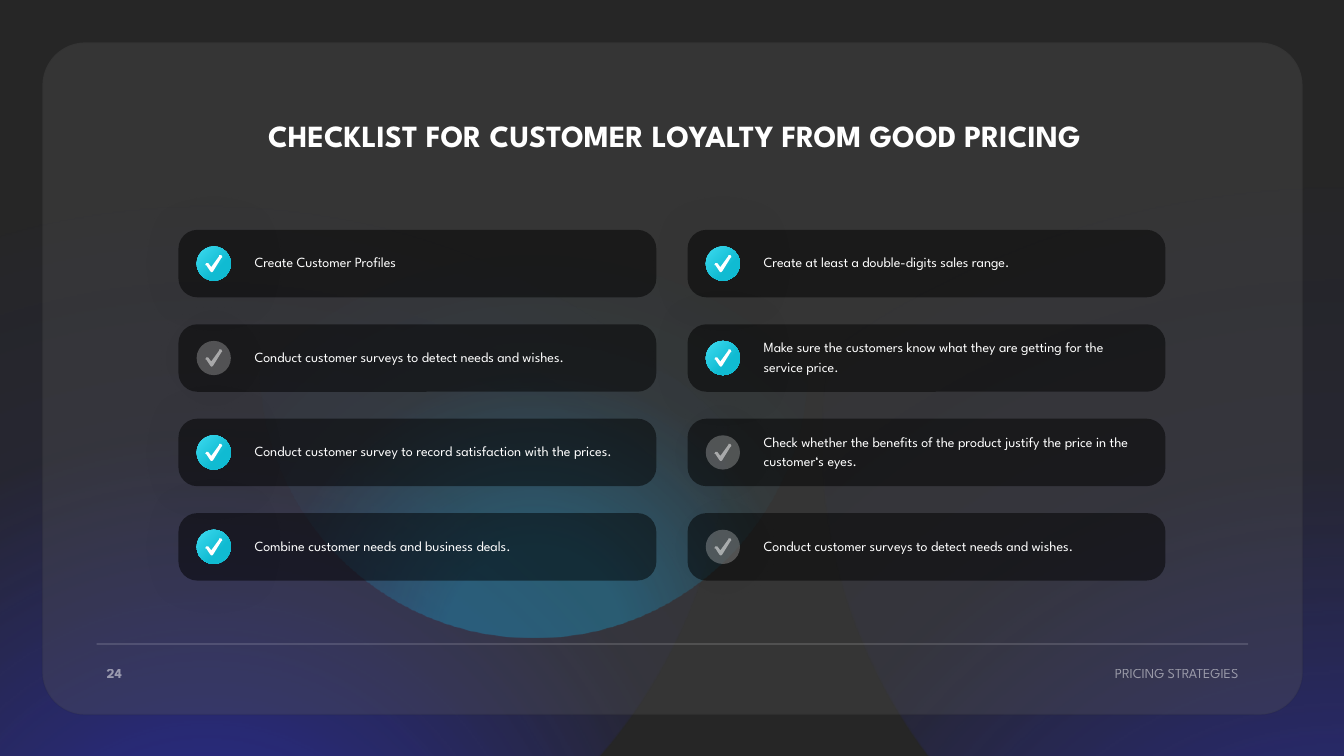
"""Build a dark checklist slide on customer loyalty and pricing."""
import pptx
import pptx.util
import pptx.dml.color
import pptx.enum.shapes
import pptx.enum.text
import pptx.oxml
from pptx.oxml.ns import qn, nsdecls

WIDTH, HEIGHT = pptx.util.Inches(13.33), pptx.util.Inches(7.5)
FONT = "League Spartan"
SHAPES = pptx.enum.shapes.MSO_SHAPE
ALIGN = pptx.enum.text.PP_ALIGN
ANCHOR = pptx.enum.text.MSO_ANCHOR

CARD_LEFT, CARD_TOP = 13.28, 30.4
CARD_PITCH_X, CARD_PITCH_Y = 37.88, 12.49
CARD_WIDTH, CARD_HEIGHT = 35.56, 8.93
ICON_INDENT, ICON_SIZE = 1.35, 4.53
TICK_GRID = 17
TICK = [(6, 17), (5, 16), (1, 10.5), (0, 9.5), (1, 8), (2, 7.5), (3, 8), (6, 12),
        (13.5, 1), (14.5, 0), (16, 0), (17, 1.5), (16.5, 3), (8, 16), (7, 16.8)]
CHECKLIST = [
    [("Create Customer Profiles", True),
     ("Create at least a double-digits sales range.", True)],
    [("Conduct customer surveys to detect needs and wishes.", False),
     ("Make sure the customers know what they are getting for the service price.", True)],
    [("Conduct customer survey to record satisfaction with the prices.", True),
     ("Check whether the benefits of the product justify the price in the customer‘s eyes.", False)],
    [("Combine customer needs and business deals.", True),
     ("Conduct customer surveys to detect needs and wishes.", False)],
]


def across(percent):
    """Return a percentage of the slide's width."""
    return round(WIDTH * percent / 100)


def down(percent):
    """Return a percentage of the slide's height."""
    return round(HEIGHT * percent / 100)


def paint(fill, owner, color, alpha=100):
    """Set a solid fill and the opacity of the first colour inside its owner."""
    fill.solid()
    fill.fore_color.rgb = pptx.dml.color.RGBColor.from_string(color)
    if alpha < 100:
        owner.find(".//" + qn("a:srgbClr")).append(pptx.oxml.parse_xml(
            f'<a:alpha {nsdecls("a")} val="{alpha * 1000}"/>'))


def paint_gradient(shape, stops, direction):
    """Fill a shape with (position, colour, opacity) stops."""
    marks = "".join(
        f'<a:gs pos="{position * 1000}"><a:srgbClr val="{color}">'
        f'<a:alpha val="{alpha * 1000}"/></a:srgbClr></a:gs>'
        for position, color, alpha in stops)
    gradient = pptx.oxml.parse_xml(
        f'<a:gradFill {nsdecls("a")} rotWithShape="1"><a:gsLst>{marks}</a:gsLst>{direction}</a:gradFill>')
    shape.fill.background()
    properties = shape._element.spPr
    properties.replace(properties.find(qn("a:noFill")), gradient)


def add_plain_shape(shapes, kind, left, top, width, height):
    """Add a preset shape without outline or shadow."""
    shape = shapes.add_shape(kind, left, top, width, height)
    shape.shadow.inherit = False
    shape.line.fill.background()
    return shape


def add_glow(slide, color, left, top, size, rotation=0):
    """Add a soft circular glow behind the panel."""
    glow = add_plain_shape(slide.shapes, SHAPES.OVAL, across(left), down(top), down(size), down(size))
    glow.rotation = rotation
    paint_gradient(glow, [(23, color, 40), (68, color, 5), (100, color, 0)],
                   '<a:path path="circle"><a:fillToRect l="50000" t="130000" r="50000" b="-30000"/></a:path>')


def add_panel(slide):
    """Add the large translucent panel."""
    panel = add_plain_shape(slide.shapes, SHAPES.ROUNDED_RECTANGLE,
                            across(3.15), down(5.6), across(93.77), down(88.93))
    panel.adjustments[0] = 0.064
    paint(panel.fill, panel._element.spPr, "595959", 30)
    panel.line.width = pptx.util.Pt(1)
    paint(panel.line.fill, panel._element.spPr.find(qn("a:ln")), "262626", 10)


def add_footer_line(slide):
    """Add the thin rule above the footer."""
    rule = slide.shapes.add_connector(pptx.enum.shapes.MSO_CONNECTOR.STRAIGHT,
                                      across(7.2), down(85.2), across(92.87), down(85.2))
    rule.line.width = pptx.util.Pt(0.5)
    properties = rule._element.spPr
    paint(rule.line.fill, properties.find(qn("a:ln")), "FFFFFF", 40)
    properties.append(pptx.oxml.parse_xml(f'<a:effectLst {nsdecls("a")}/>'))


def write(frame, text, size=10, bold=None, alpha=100, align=ALIGN.LEFT):
    """Write one white run into the first paragraph of a frame."""
    paragraph = frame.paragraphs[0]
    paragraph.alignment = align
    run = paragraph.add_run()
    run.text = text
    run.font.name = FONT
    run.font.size = pptx.util.Pt(size)
    run.font.bold = bold
    paint(run.font.fill, run._r, "FFFFFF", alpha)
    return paragraph


def add_label(slide, text, left, top, width, height, wrap=False, anchor=ANCHOR.MIDDLE, **style):
    """Add a text box placed by shares of the slide."""
    box = slide.shapes.add_textbox(across(left), down(top), across(width), down(height))
    frame = box.text_frame
    frame.word_wrap = wrap
    frame.vertical_anchor = anchor
    frame.auto_size = pptx.enum.text.MSO_AUTO_SIZE.SHAPE_TO_FIT_TEXT
    write(frame, text, **style)


def add_card(slide, text, left, top):
    """Add a dark rounded card holding one checklist item."""
    card = add_plain_shape(slide.shapes, SHAPES.ROUNDED_RECTANGLE,
                           across(left), down(top), across(CARD_WIDTH), down(CARD_HEIGHT))
    card.adjustments[0] = 0.28
    paint(card.fill, card._element.spPr, "000000", 50)
    frame = card.text_frame
    frame.word_wrap = True
    frame.vertical_anchor = ANCHOR.MIDDLE
    frame.margin_left, frame.margin_right = across(5.25), across(1.5)
    frame.margin_top, frame.margin_bottom = 0, down(0.67)
    write(frame, text).line_spacing = pptx.util.Pt(14)


def add_check_icon(slide, done, card_left, card_top):
    """Add a round check icon, bright when done and grey when open."""
    group = slide.shapes.add_group_shape()
    size = down(ICON_SIZE)
    left = across(card_left + ICON_INDENT)
    top = down(card_top + (CARD_HEIGHT - ICON_SIZE) / 2)
    disc = add_plain_shape(group.shapes, SHAPES.OVAL, left, top, size, size)
    if done:
        paint_gradient(disc, [(0, "3EDBF0", 100), (66, "10BBD2", 100)], '<a:lin ang="2700000" scaled="0"/>')
    else:
        paint(disc.fill, disc._element.spPr, "FFFFFF", 25)
    disc._element.spPr.find(qn("a:effectLst")).append(pptx.oxml.parse_xml(
        f'<a:outerShdw {nsdecls("a")} blurRad="{pptx.util.Pt(50)}" dist="0" dir="0" algn="ctr" rotWithShape="0">'
        '<a:srgbClr val="000000"><a:alpha val="20000"/></a:srgbClr></a:outerShdw>'))
    builder = group.shapes.build_freeform(*TICK[0], scale=size / 2 / TICK_GRID)
    builder.add_line_segments(TICK[1:], close=True)
    tick = builder.convert_to_shape(left + size // 4, top + size // 4)
    tick.shadow.inherit = False
    tick.line.fill.background()
    paint(tick.fill, tick._element.spPr, "FFFFFF", 100 if done else 50)


def main():
    """Build and save the slide."""
    presentation = pptx.Presentation()
    presentation.slide_width, presentation.slide_height = WIDTH, HEIGHT
    slide = presentation.slides.add_slide(presentation.slide_layouts[6])
    background = slide.background.fill
    paint(background, slide._element, "262626")
    add_glow(slide, "2D31FA", -23.48, -14.4, 138)
    add_glow(slide, "00B0F0", 19.35, 11.87, 72.4)
    add_glow(slide, "2D31FA", 61.22, -10.67, 137.87, rotation=195)
    add_panel(slide)
    add_footer_line(slide)
    add_label(slide, "24", 7.2, 87.2, 2.63, 3.6, bold=True, alpha=50)
    add_label(slide, "PRICING STRATEGIES", 81.1, 87.2, 11.78, 3.6, alpha=50, align=ALIGN.RIGHT)
    add_label(slide, "CHECKLIST FOR CUSTOMER LOYALTY FROM GOOD PRICING", 13.8, 14.8, 72.77, 6.27,
              wrap=True, anchor=ANCHOR.TOP, size=22, bold=True, align=ALIGN.CENTER)
    items = [(text, done, CARD_LEFT + column * CARD_PITCH_X, CARD_TOP + row * CARD_PITCH_Y)
             for row, pair in enumerate(CHECKLIST)
             for column, (text, done) in enumerate(pair)]
    for text, done, left, top in items:
        add_card(slide, text, left, top)
    for text, done, left, top in items:
        add_check_icon(slide, done, left, top)
    presentation.save("out.pptx")


if __name__ == "__main__":
    main()
